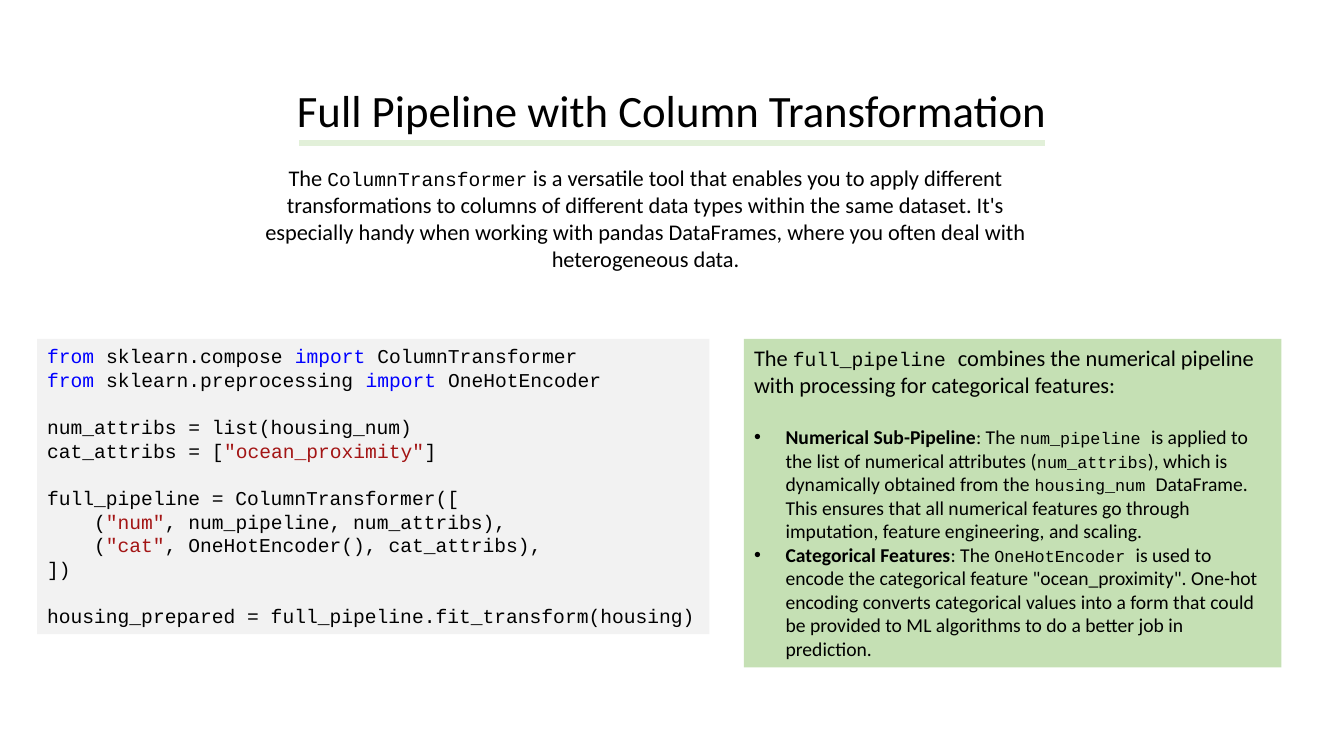
import pptx
import pptx.dml.color
import pptx.enum.shapes
import pptx.enum.text
import pptx.oxml.ns
import pptx.util
import lxml.etree

Pt = pptx.util.Pt
COLORS = {
    "black": "000000",
    "keyword": "0000FF",
    "string": "A31515",
    "code_fill": "F2F2F2",
    "notes_fill": "C5E0B4",
    "underline": "E2F0D9",
}


def rgb(name):
    return pptx.dml.color.RGBColor.from_string(COLORS[name])


def write(para, text, size=14, font="Calibri", color="black", bold=False):
    span = para.add_run()
    span.text = text
    span.font.size = Pt(size)
    span.font.name = font
    span.font.bold = bold
    span.font.color.rgb = rgb(color)


deck = pptx.Presentation()
deck.slide_width, deck.slide_height = Pt(960), Pt(540)
page = deck.slides.add_slide(deck.slide_layouts[1])
title, notes = page.placeholders

# Title
title.left, title.top, title.width, title.height = Pt(66), Pt(28.8), Pt(828), Pt(104.4)
title.text_frame.auto_size = pptx.enum.text.MSO_AUTO_SIZE.NONE
title.text_frame.vertical_anchor = pptx.enum.text.MSO_ANCHOR.MIDDLE
para = title.text_frame.paragraphs[0]
para.alignment = pptx.enum.text.PP_ALIGN.CENTER
para.line_spacing = 0.9
write(para, "Full Pipeline with Column Transformation", size=32)

# Explanation panel: a lead sentence and two bullets
notes.left, notes.top, notes.width, notes.height = Pt(531.4), Pt(242), Pt(383.8), Pt(234.7)
notes.fill.solid()
notes.fill.fore_color.rgb = rgb("notes_fill")
notes.text_frame.auto_size = pptx.enum.text.MSO_AUTO_SIZE.NONE
code_term = {"font": "Courier New", "size": 12}
lead_term = {"font": "Courier New", "size": 14}
explanation = [
    [("The ", {"size": 16}), ("full_pipeline ", lead_term),
     ("combines the numerical pipeline with processing for categorical features:", {"size": 16})],
    [("Numerical Sub-Pipeline", {"bold": True}), (": The ", {}), ("num_pipeline ", code_term),
     ("is applied to the list of numerical attributes (", {}), ("num_attribs", code_term),
     ("), which is dynamically obtained from the ", {}), ("housing_num ", code_term),
     ("DataFrame. This ensures that all numerical features go through imputation, "
      "feature engineering, and scaling.", {})],
    [("Categorical Features", {"bold": True}), (": The ", {}), ("OneHotEncoder ", code_term),
     ('is used to encode the categorical feature "ocean_proximity". One-hot encoding converts '
      "categorical values into a form that could be provided to ML algorithms to do a better "
      "job in prediction.", {})],
]
for index, spans in enumerate(explanation):
    para = notes.text_frame.paragraphs[0] if index == 0 else notes.text_frame.add_paragraph()
    para.space_before = Pt(19.5 if index == 1 else 0)
    indent = Pt(22.5 if index else 0)
    properties = para._p.get_or_add_pPr()
    properties.set("marL", str(indent))
    properties.set("indent", str(-indent))
    bullet = lxml.etree.SubElement(properties, pptx.oxml.ns.qn("a:buChar" if index else "a:buNone"))
    if index:
        bullet.set("char", "•")
    for text, style in spans:
        write(para, text, **style)

# Introduction
intro = page.shapes.add_textbox(Pt(175.7), Pt(113.8), Pt(571), Pt(85))
intro.text_frame.word_wrap = True
para = intro.text_frame.paragraphs[0]
para.alignment = pptx.enum.text.PP_ALIGN.CENTER
write(para, "The ", size=16)
write(para, "ColumnTransformer", **lead_term)
write(para, " is a versatile tool that enables you to apply different transformations to columns "
      "of different data types within the same dataset. It's especially handy when working with "
      "pandas DataFrames, where you often deal with heterogeneous data.", size=16)

# Title underline
underline = page.shapes.add_connector(
    pptx.enum.shapes.MSO_CONNECTOR.STRAIGHT, Pt(213.8), Pt(102.2), Pt(746.6), Pt(102.2))
underline.line.color.rgb = rgb("underline")
underline.line.width = Pt(4.5)
lxml.etree.SubElement(underline._element.spPr, pptx.oxml.ns.qn("a:effectLst"))

# Code panel: each line has blank lines above, indent in characters, coloured parts
code = page.shapes.add_shape(
    pptx.enum.shapes.MSO_SHAPE.RECTANGLE, Pt(26.6), Pt(242), Pt(480.2), Pt(211))
code.shadow.inherit = False
code.fill.solid()
code.fill.fore_color.rgb = rgb("code_fill")
code.line.fill.background()
code.text_frame.word_wrap = True
code.text_frame.vertical_anchor = pptx.enum.text.MSO_ANCHOR.TOP
LINE_HEIGHT, CHARACTER_WIDTH = 16.9, 8.4
code_lines = [
    (0, 0, [("from", "keyword"), (" sklearn.compose ", "black"),
            ("import", "keyword"), (" ColumnTransformer", "black")]),
    (0, 0, [("from", "keyword"), (" sklearn.preprocessing ", "black"),
            ("import", "keyword"), (" OneHotEncoder", "black")]),
    (1, 0, [("num_attribs = list(housing_num)", "black")]),
    (0, 0, [("cat_attribs = [", "black"), ('"ocean_proximity"', "string"), ("]", "black")]),
    (1, 0, [("full_pipeline = ColumnTransformer([", "black")]),
    (0, 4, [("(", "black"), ('"num"', "string"), (", num_pipeline, num_attribs),", "black")]),
    (0, 4, [("(", "black"), ('"cat"', "string"), (", OneHotEncoder(), cat_attribs),", "black")]),
    (0, 0, [("])", "black")]),
    (1, 0, [("housing_prepared = full_pipeline.fit_transform(housing)", "black")]),
]
for index, (blank_lines, indent, spans) in enumerate(code_lines):
    para = code.text_frame.paragraphs[0] if index == 0 else code.text_frame.add_paragraph()
    para.alignment = pptx.enum.text.PP_ALIGN.LEFT
    para.line_spacing = Pt(LINE_HEIGHT)
    para.space_before = Pt(blank_lines * LINE_HEIGHT)
    para._p.get_or_add_pPr().set("marL", str(Pt(indent * CHARACTER_WIDTH)))
    for text, color in spans:
        write(para, text, font="Courier New", color=color)

deck.save("out.pptx")
